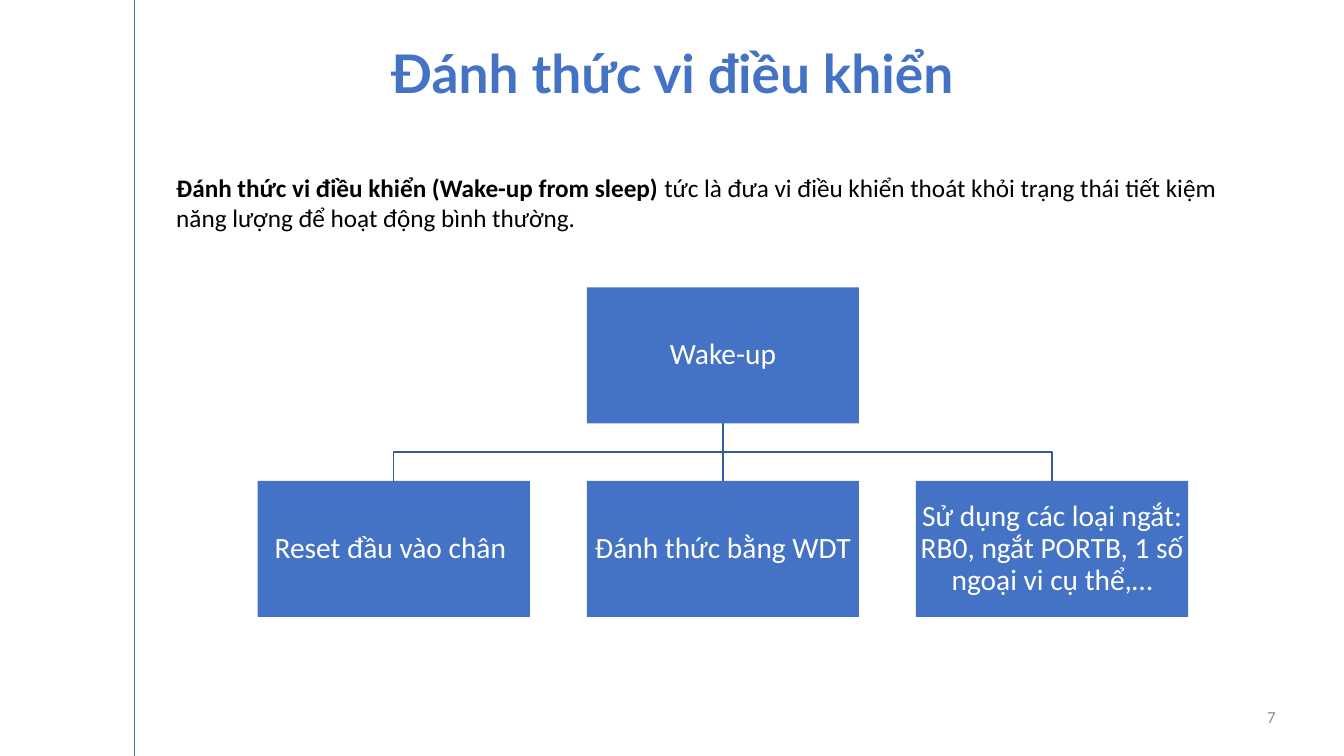
"""Build the slide on waking up a microcontroller."""
import pptx
import pptx.dml.color
import pptx.enum.shapes
import pptx.enum.text
import pptx.oxml.ns
import pptx.util
from lxml import etree

Inches = pptx.util.Inches
ALIGN = pptx.enum.text.PP_ALIGN
ANCHOR = pptx.enum.text.MSO_ANCHOR
BLUE, DARK_BLUE, WHITE = "4472C4", "365B9D", "FFFFFF"


def paint(color_format, hex_color):
    color_format.rgb = pptx.dml.color.RGBColor.from_string(hex_color)


def write(frame, runs, size, color, font="Calibri", align=ALIGN.LEFT, anchor=ANCHOR.TOP):
    frame.word_wrap = True
    frame.vertical_anchor = anchor
    paragraph = frame.paragraphs[0]
    paragraph.alignment = align
    for text, bold in runs:
        run = paragraph.add_run()
        run.text = text
        run.font.name = font
        run.font.size = pptx.util.Pt(size)
        run.font.bold = bold
        paint(run.font.color, color)
    return paragraph


deck = pptx.Presentation()
deck.slide_width, deck.slide_height = Inches(13.33), Inches(7.5)
slide = deck.slides.add_slide(deck.slide_layouts[6])
shapes = slide.shapes

box_width, box_height = 2.7, 1.35
root_left, root_top, child_top = 5.82, 2.85, 4.77
column_step = 3.265
root_center = root_left + box_width / 2
root_bottom = root_top + box_height
branch_y = (root_bottom + child_top) / 2

straight_lines = [
    (1.33, 0, 7.5, BLUE, 0.5),
    (root_center, root_bottom, child_top, DARK_BLUE, 1),
]
for x, top, bottom, color, weight in straight_lines:
    rule = shapes.add_connector(
        pptx.enum.shapes.MSO_CONNECTOR.STRAIGHT,
        Inches(x), Inches(top), Inches(x), Inches(bottom))
    paint(rule.line.color, color)
    rule.line.width = pptx.util.Pt(weight)
    etree.SubElement(rule._element.spPr, pptx.oxml.ns.qn("a:effectLst"))

for side in (1, -1):
    child_center = root_center + side * column_step
    outline = shapes.build_freeform(Inches(root_center), Inches(root_bottom))
    outline.add_line_segments(
        [(Inches(x), Inches(y)) for x, y in (
            (root_center, branch_y), (child_center, branch_y), (child_center, child_top))],
        close=False)
    branch = outline.convert_to_shape()
    branch.shadow.inherit = False
    branch.fill.background()
    paint(branch.line.color, DARK_BLUE)
    branch.line.width = pptx.util.Pt(1)

nodes = [
    ("Wake-up", 0, root_top),
    ("Reset đầu vào chân ", -1, child_top),
    ("Đánh thức bằng WDT", 0, child_top),
    ("Sử dụng các loại ngắt: RB0, ngắt PORTB, 1 số ngoại vi cụ thể,…", 1, child_top),
]
for label, column, top in nodes:
    node = shapes.add_shape(
        pptx.enum.shapes.MSO_SHAPE.RECTANGLE,
        Inches(root_left + column * column_step), Inches(top),
        Inches(box_width), Inches(box_height))
    node.shadow.inherit = False
    node.fill.solid()
    paint(node.fill.fore_color, BLUE)
    node.line.fill.background()
    frame = node.text_frame
    frame.margin_left = frame.margin_right = Inches(0.01)
    frame.margin_top = frame.margin_bottom = Inches(0.01)
    caption = write(frame, [(label, False)], 21, WHITE, align=ALIGN.CENTER, anchor=ANCHOR.MIDDLE)
    caption.line_spacing = 0.9

title = shapes.add_textbox(Inches(2.21), Inches(0.35), Inches(8.92), Inches(0.74))
write(title.text_frame, [("Đánh thức vi điều khiển", True)], 38, BLUE,
      font="Lato", align=ALIGN.CENTER)

definition = shapes.add_textbox(Inches(1.65), Inches(1.66), Inches(11.03), Inches(0.71))
write(definition.text_frame, [
    ("Đánh thức vi điều khiển (Wake-up from sleep) ", True),
    ("tức là đưa vi điều khiển thoát khỏi trạng thái tiết kiệm năng lượng "
     "để hoạt động bình thường.", False),
], 18, "000000")

page_number = shapes.add_textbox(Inches(12.31), Inches(6.91), Inches(0.44), Inches(0.4))
write(page_number.text_frame, [("7", False)], 12, "8C8C8C",
      align=ALIGN.RIGHT, anchor=ANCHOR.MIDDLE)

deck.save("out.pptx")
